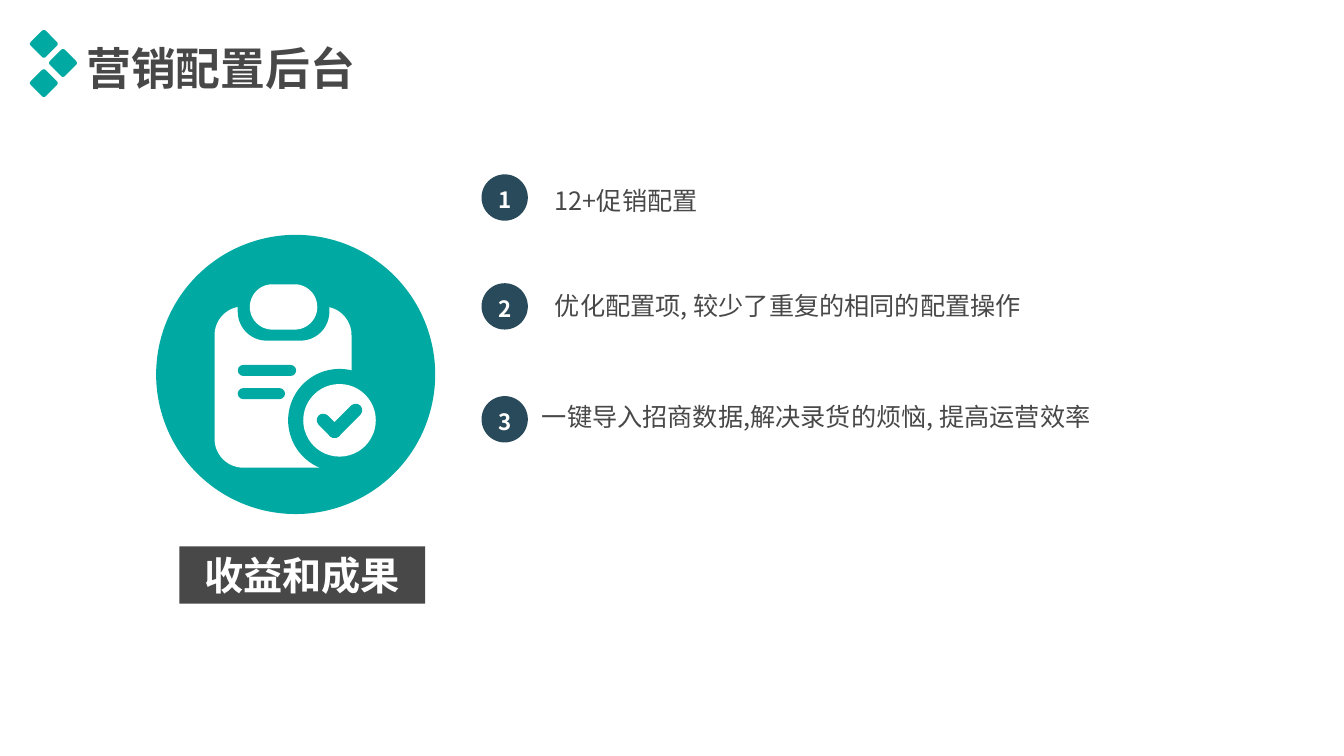
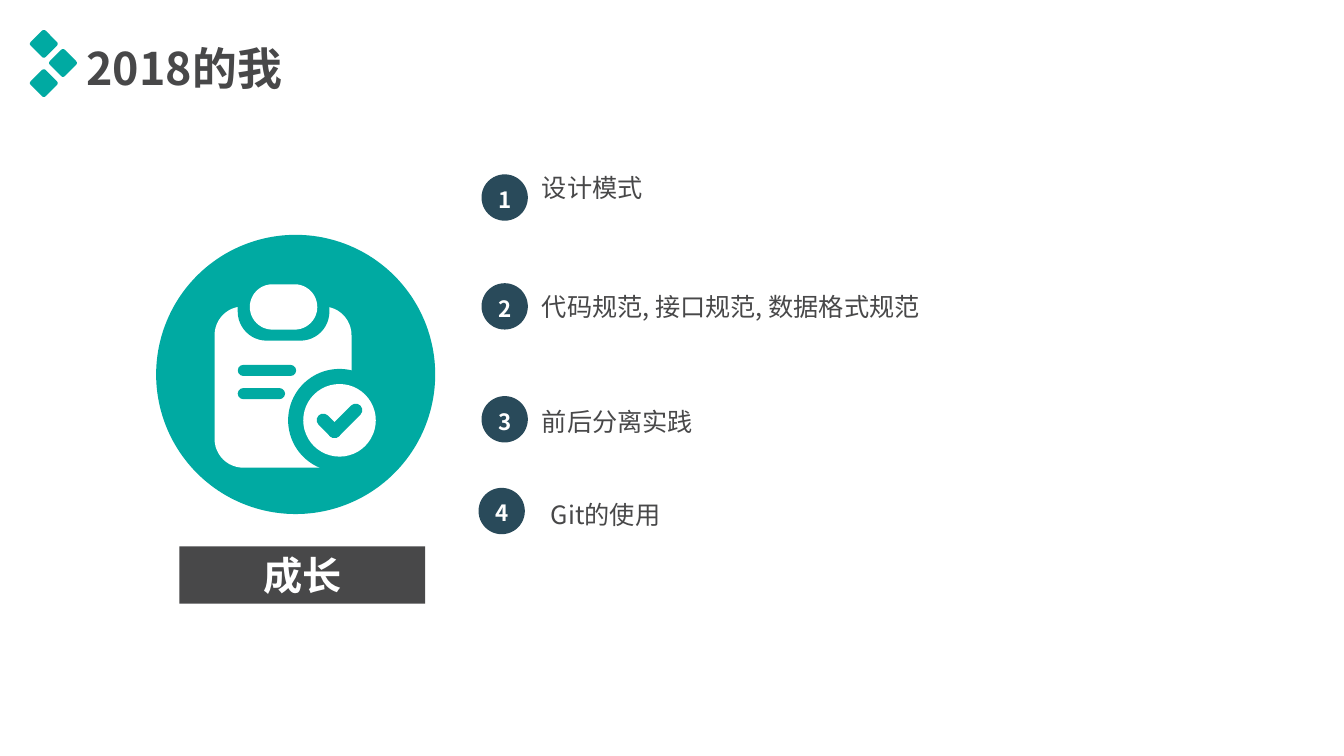
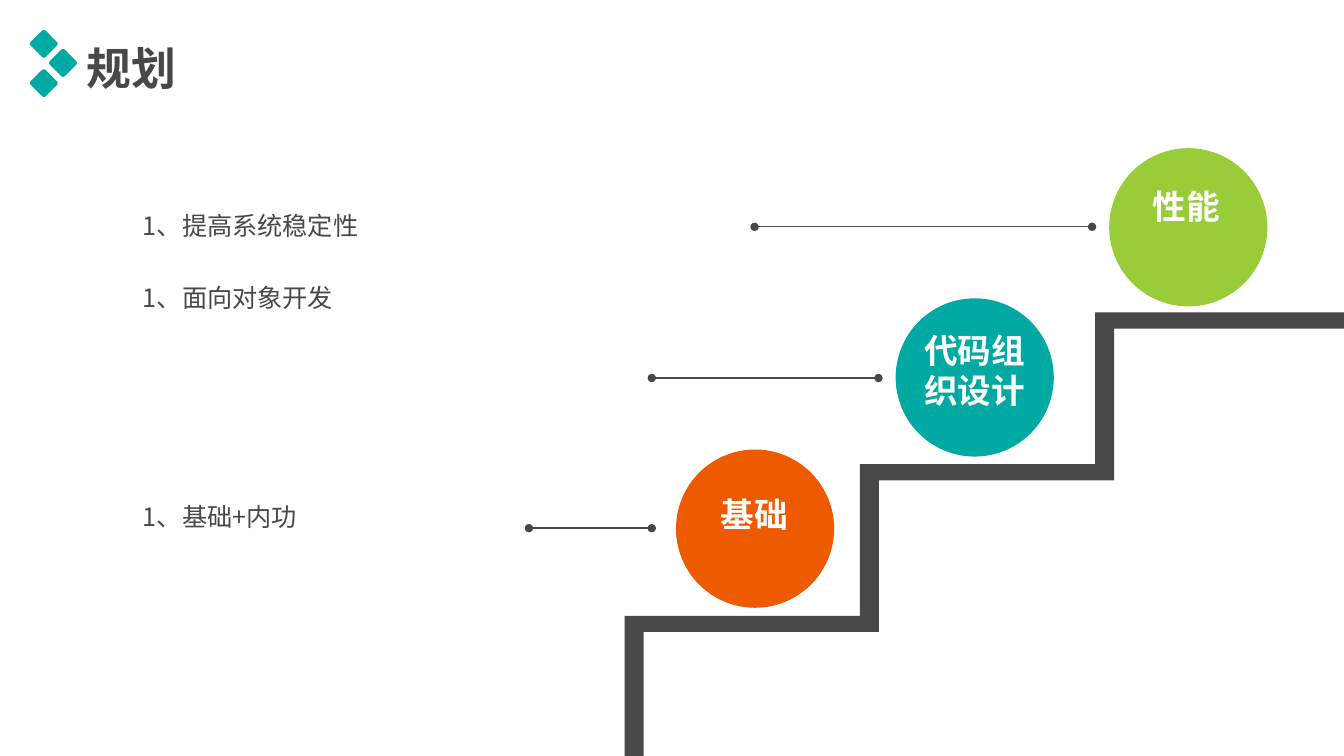
from dataclasses import dataclass

from lxml import etree
from pptx import Presentation
from pptx import util as u
from pptx.dml.color import RGBColor
from pptx.enum import shapes, text
from pptx.oxml import ns

FONT = "Noto Sans CJK SC"
TEAL, NAVY, GRAY, WHITE = "00AAA2", "294A5A", "484849", "FFFFFF"
ORANGE, LIME = "ED5A00", "99CC39"
OVAL = shapes.MSO_SHAPE.OVAL
RECT = shapes.MSO_SHAPE.RECTANGLE
ROUND = shapes.MSO_SHAPE.ROUNDED_RECTANGLE
LEFT, MID, JUST = text.PP_ALIGN.LEFT, text.PP_ALIGN.CENTER, text.PP_ALIGN.JUSTIFY
WIDE, HIGH = 13.34, 7.5


@dataclass(frozen=True)
class Box:
    x: float
    y: float
    w: float
    h: float

    def sizes(self) -> list:
        return [u.Inches(v) for v in (self.x, self.y, self.w, self.h)]


@dataclass(frozen=True)
class Item:
    words: str
    x: float
    y: float
    dot_x: float
    dot_y: float


@dataclass(frozen=True)
class Goal:
    name: str
    color: str
    ball: Box
    label: Box
    line: tuple
    words: str
    note: Box


@dataclass(frozen=True)
class Part:
    box: Box
    color: str
    round: float
    turn: float = 0


def tint(color: str) -> RGBColor:
    return RGBColor.from_string(color)


def paint(shape, color: str) -> None:
    shape.shadow.inherit = False
    shape.fill.solid()
    shape.fill.fore_color.rgb = tint(color)
    shape.line.fill.background()


def draw(slide, kind, box: Box, color: str, turn: float = 0):
    shape = slide.shapes.add_shape(kind, *box.sizes())
    paint(shape, color)
    shape.rotation = turn
    return shape


def draw_part(slide, part: Part) -> None:
    shape = draw(slide, ROUND, part.box, part.color, part.turn)
    shape.adjustments[0] = part.round


def write(frame, words: str, size: int, color: str, bold: bool, align) -> None:
    frame.word_wrap = True
    para = frame.paragraphs[0]
    para.text = words
    para.alignment = align
    font = para.font
    font.name, font.size, font.bold = FONT, u.Pt(size), bold
    font.color.rgb = tint(color)
    props = para._p.pPr.find(ns.qn("a:defRPr"))
    etree.SubElement(props, ns.qn("a:ea"), typeface=FONT)


def add_text(slide, box: Box, words: str, size: int = 18, color: str = GRAY,
             bold: bool = False, align=LEFT) -> None:
    frame = slide.shapes.add_textbox(*box.sizes()).text_frame
    write(frame, words, size, color, bold, align)


def add_page(deck, title: str):
    slide = deck.slides.add_slide(deck.slide_layouts[6])
    add_text(slide, Box(0.76, 0.35, 6.54, 0.64), title, 32, bold=True)
    for x, y in ((0.33, 0.33), (0.52, 0.52), (0.33, 0.72)):
        draw_part(slide, Part(Box(x, y, 0.21, 0.21), TEAL, 0.12, 45))
    return slide


BADGE = (3.37, 4.17)
SHEET = [
    Part(Box(2.13, 3.04, 1.36, 1.6), WHITE, 0.21),
    Part(Box(2.36, 2.71, 0.91, 0.67), TEAL, 0.43),
    Part(Box(2.48, 2.82, 0.67, 0.45), WHITE, 0.5),
    Part(Box(2.36, 3.62, 0.58, 0.11), TEAL, 0.5),
    Part(Box(2.36, 3.85, 0.47, 0.11), TEAL, 0.5),
]
TICK = [
    Part(Box(3.12, 4.16, 0.29, 0.13), TEAL, 0.5, 45),
    Part(Box(3.21, 4.11, 0.43, 0.13), TEAL, 0.5, -45),
]


def add_icon(slide) -> None:
    draw(slide, OVAL, Box(1.55, 2.33, 2.77, 2.77), TEAL)
    for part in SHEET:
        draw_part(slide, part)
    x, y = BADGE
    for r, color in ((0.51, TEAL), (0.36, WHITE)):
        draw(slide, OVAL, Box(x - r, y - r, 2 * r, 2 * r), color)
    for part in TICK:
        draw_part(slide, part)


def add_dot(slide, item: Item, number: int) -> None:
    dot = draw(slide, OVAL, Box(item.dot_x, item.dot_y, 0.46, 0.46), NAVY)
    frame = dot.text_frame
    frame.margin_left = frame.margin_right = frame.margin_bottom = 0
    frame.margin_top = u.Inches(0.04)
    write(frame, str(number), 16, WHITE, True, MID)


def add_list(deck, title: str, label: str, items: list[Item]) -> None:
    slide = add_page(deck, title)
    bar = draw(slide, RECT, Box(1.78, 5.42, 2.44, 0.57), GRAY)
    write(bar.text_frame, label, 28, WHITE, True, MID)
    add_icon(slide)
    for number, item in enumerate(items, 1):
        add_dot(slide, item, number)
        add_text(slide, Box(item.x, item.y, 6.66, 0.4), item.words)


def add_stairs(slide) -> None:
    wide, thick = 0.19, 0.16
    upper = [(6.2, HIGH)]
    for step in range(3):
        x, y = 6.2 + 2.335 * step, 6.11 - 1.505 * step
        end = WIDE if step == 2 else x + 2.335
        upper += [(x, y), (end, y)]
    lower = [(min(x + wide, WIDE), min(y + thick, HIGH)) for x, y in upper]
    first, *rest = [(u.Inches(x), u.Inches(y)) for x, y in upper + lower[::-1]]
    pen = slide.shapes.build_freeform(*first)
    pen.add_line_segments(rest)
    paint(pen.convert_to_shape(), GRAY)


def add_line(slide, start: float, end: float, y: float) -> None:
    line = slide.shapes.add_connector(
        shapes.MSO_CONNECTOR.STRAIGHT,
        u.Inches(start), u.Inches(y), u.Inches(end), u.Inches(y))
    line.line.color.rgb = tint(GRAY)
    line.line.width = u.Pt(1)
    edge = line.line._get_or_add_ln()
    for tag in ("a:headEnd", "a:tailEnd"):
        etree.SubElement(edge, ns.qn(tag), type="oval")
    etree.SubElement(line._element.spPr, ns.qn("a:effectLst"))


def add_plan(deck, title: str, goals: list[Goal]) -> None:
    slide = add_page(deck, title)
    add_stairs(slide)
    for goal in goals:
        draw(slide, OVAL, goal.ball, goal.color)
        add_line(slide, *goal.line)
        add_text(slide, goal.label, goal.name, 24, WHITE, True, MID)
        add_text(slide, goal.note, goal.words, align=JUST)


GAINS = [
    Item("12+促销配置", 5.41, 1.79, 4.78, 1.73),
    Item("优化配置项, 较少了重复的相同的配置操作", 5.41, 2.83, 4.78, 2.81),
    Item("一键导入招商数据,解决录货的烦恼, 提高运营效率", 5.28, 3.93, 4.78, 3.93),
]
GROWTH = [
    Item("设计模式", 5.28, 1.66, 4.78, 1.73),
    Item("代码规范, 接口规范, 数据格式规范", 5.28, 2.84, 4.78, 2.81),
    Item("前后分离实践", 5.28, 3.98, 4.78, 3.93),
    Item("Git的使用", 5.37, 4.9, 4.75, 4.84),
]
GOALS = [
    Goal("基础", ORANGE, Box(6.71, 4.46, 1.57, 1.57), Box(6.58, 4.85, 1.81, 0.5),
         (6.47, 5.25, 5.24), "1、基础+内功", Box(1.32, 4.92, 3.7, 0.4)),
    Goal("代码组织设计", TEAL, Box(8.89, 2.96, 1.57, 1.57), Box(8.93, 3.22, 1.49, 0.91),
         (8.72, 6.47, 3.75), "1、面向对象开发", Box(1.32, 2.75, 4.88, 0.4)),
    Goal("性能", LIME, Box(11.01, 1.47, 1.57, 1.57), Box(11.01, 1.8, 1.53, 0.5),
         (10.84, 7.49, 2.25), "1、提高系统稳定性", Box(1.32, 2.04, 6.18, 0.4)),
]


def main() -> None:
    deck = Presentation()
    deck.slide_width, deck.slide_height = u.Inches(WIDE), u.Inches(HIGH)
    add_list(deck, "营销配置后台", "收益和成果", GAINS)
    add_list(deck, "2018的我", "成长", GROWTH)
    add_plan(deck, "规划", GOALS)
    deck.save("out.pptx")


if __name__ == "__main__":
    main()
